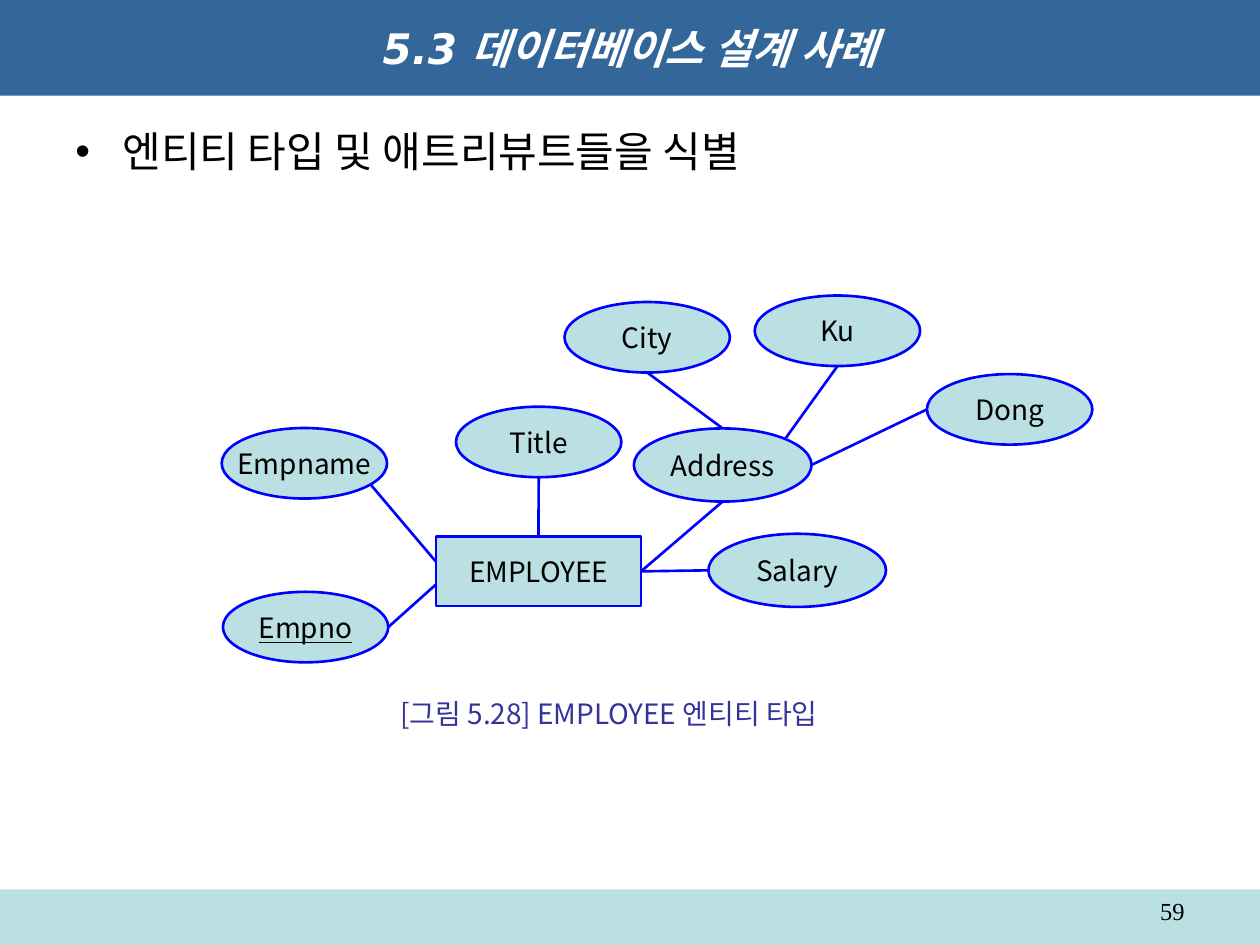
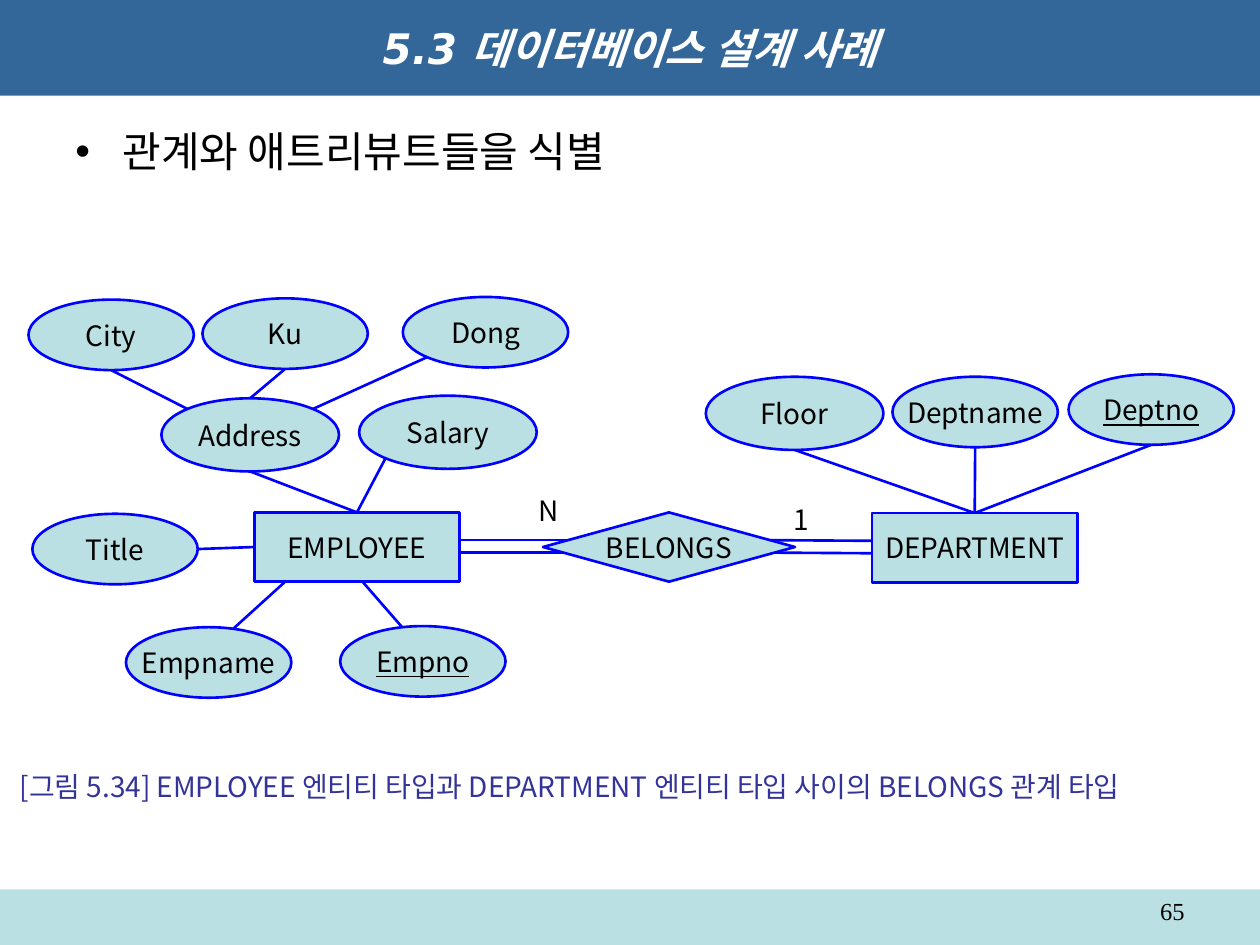
import dataclasses

import lxml.etree
import pptx
import pptx.dml.color
import pptx.enum.shapes
import pptx.enum.text
import pptx.oxml.ns
import pptx.util

Pt = pptx.util.Pt
SHAPE = pptx.enum.shapes.MSO_SHAPE
ALIGN = pptx.enum.text.PP_ALIGN
ANCHOR = pptx.enum.text.MSO_ANCHOR
qn = pptx.oxml.ns.qn


@dataclasses.dataclass(frozen=True)
class Theme:
    width: float = 720
    height: float = 540
    title_fill: str = "336699"
    pale: str = "BBE0E3"
    outline: str = "0000FF"
    caption: str = "333399"
    black: str = "000000"
    white: str = "FFFFFF"
    heading_size: float = 24
    label_size: float = 16
    page_size: float = 14
    line_width: float = 1.5
    title_font: str = "DejaVu Sans"
    body_font: str = "Arial"
    label_font: str = "Noto Sans CJK JP"
    korean_font: str = "Noto Sans CJK KR"
    page_font: str = "Times New Roman"


@dataclasses.dataclass(frozen=True)
class Node:
    kind: object
    left: float
    top: float
    width: float
    height: float
    underline: bool = False

    def point(self, place):
        across, down = place
        return self.left + across * self.width, self.top + down * self.height


def entity(left, top):
    return Node(SHAPE.RECTANGLE, left, top, 117.2, 39.6)


def attribute(left, top, key=False):
    return Node(SHAPE.OVAL, left, top, 94.5, 40.3, key)


def wide_attribute(left, top):
    return Node(SHAPE.OVAL, left, top, 101.5, 41.8)


def relationship(left, top):
    return Node(SHAPE.DIAMOND, left, top, 144, 39.6)


TOP, BOTTOM, LEFT, RIGHT = (0.5, 0), (0.5, 1), (0, 0.5), (1, 0.5)
TOP_LEFT, TOP_RIGHT, BOTTOM_LEFT = (0.15, 0.15), (0.85, 0.15), (0.15, 0.85)


class Deck:
    def __init__(self, theme):
        self.theme = theme
        self.presentation = pptx.Presentation()
        self.presentation.slide_width = Pt(theme.width)
        self.presentation.slide_height = Pt(theme.height)
        self.slide = None

    def color(self, value):
        return pptx.dml.color.RGBColor.from_string(value)

    def new_slide(self, title, bullet, page):
        theme = self.theme
        self.slide = self.presentation.slides.add_slide(self.presentation.slide_layouts[6])
        self.shape(SHAPE.RECTANGLE, 0, 508.3, theme.width, 31.7, theme.pale)
        self.text_box(page, 516.2, 508.3, 167.8, 20.9, theme.page_size,
                      theme.page_font, align=ALIGN.RIGHT)
        band = self.shape(SHAPE.RECTANGLE, 0, 0, theme.width, 54.7, theme.title_fill)
        self.add_text(band, title, theme.heading_size, theme.title_font, theme.white,
                      align=ALIGN.CENTER, anchor=ANCHOR.MIDDLE, bold=True, italic=True)
        self.bullet(bullet)

    def shape(self, kind, left, top, width, height, fill, line=None):
        shape = self.slide.shapes.add_shape(kind, Pt(left), Pt(top), Pt(width), Pt(height))
        shape.shadow.inherit = False
        shape.fill.solid()
        shape.fill.fore_color.rgb = self.color(fill)
        if line:
            shape.line.color.rgb = self.color(line)
            shape.line.width = Pt(self.theme.line_width)
        else:
            shape.line.fill.background()
        return shape

    def add_text(self, shape, text, size, font, color, align=ALIGN.LEFT,
                 anchor=ANCHOR.TOP, wrap=True, bold=False, italic=False, underline=False):
        frame = shape.text_frame
        frame.word_wrap = wrap
        frame.vertical_anchor = anchor
        paragraph = frame.paragraphs[0]
        paragraph.alignment = align
        run = paragraph.add_run()
        run.text = text
        run.font.name = font
        run.font.size = Pt(size)
        run.font.color.rgb = self.color(color)
        run.font.bold = bold
        run.font.italic = italic
        run.font.underline = underline
        east_asian = lxml.etree.SubElement(run._r.get_or_add_rPr(), qn("a:ea"))
        east_asian.set("typeface", self.theme.korean_font)
        return paragraph

    def text_box(self, text, left, top, width, height, size, font, color=None, **style):
        box = self.slide.shapes.add_textbox(Pt(left), Pt(top), Pt(width), Pt(height))
        return self.add_text(box, text, size, font, color or self.theme.black, **style)

    def bullet(self, text):
        paragraph = self.text_box(text, 36, 68.4, 648, 428.4,
                                  self.theme.heading_size, self.theme.body_font)
        properties = paragraph._p.get_or_add_pPr()
        properties.set("marL", str(Pt(27)))
        properties.set("indent", str(Pt(-27)))
        lxml.etree.SubElement(properties, qn("a:buFont")).set("typeface", self.theme.body_font)
        lxml.etree.SubElement(properties, qn("a:buChar")).set("char", "•")

    def caption(self, text, left, top, width):
        self.text_box(text, left, top, width, 26.6, self.theme.label_size,
                      self.theme.korean_font, self.theme.caption,
                      anchor=ANCHOR.MIDDLE, wrap=False)

    def cardinality(self, text, left, top, width):
        self.text_box(text, left, top, width, 26.6, self.theme.label_size,
                      self.theme.label_font, align=ALIGN.CENTER, wrap=False)

    def line(self, start, end):
        connector = self.slide.shapes.add_connector(
            pptx.enum.shapes.MSO_CONNECTOR.STRAIGHT, *map(Pt, start + end))
        connector.line.color.rgb = self.color(self.theme.outline)
        connector.line.width = Pt(self.theme.line_width)
        lxml.etree.SubElement(connector._element.spPr, qn("a:effectLst"))

    def node(self, name, node):
        theme = self.theme
        shape = self.shape(node.kind, node.left, node.top, node.width, node.height,
                           theme.pale, theme.outline)
        self.add_text(shape, name, theme.label_size, theme.label_font, theme.black,
                      align=ALIGN.CENTER, anchor=ANCHOR.MIDDLE, wrap=False,
                      underline=node.underline)

    def diagram(self, nodes, links):
        for first, first_place, second, second_place in links:
            self.line(nodes[first].point(first_place), nodes[second].point(second_place))
        for name, node in nodes.items():
            self.node(name, node)


def employee_slide(deck, title):
    deck.new_slide(title, "엔티티 타입 및 애트리뷰트들을 식별", "59")
    nodes = {
        "EMPLOYEE": entity(249.1, 306.7),
        "Title": attribute(260.6, 232.4),
        "Address": wide_attribute(362.2, 244.8),
        "Salary": wide_attribute(404.8, 305),
        "Empname": attribute(126.7, 244.6),
        "Empno": attribute(127.4, 338.2, key=True),
        "City": attribute(322.6, 172.6),
        "Ku": attribute(431.3, 168.9),
        "Dong": attribute(529.7, 213.8),
    }
    links = [
        ("Title", BOTTOM, "EMPLOYEE", TOP),
        ("EMPLOYEE", RIGHT, "Address", BOTTOM),
        ("EMPLOYEE", RIGHT, "Salary", LEFT),
        ("Empname", (0.9, 0.8), "EMPLOYEE", (0, 0.36)),
        ("Empno", RIGHT, "EMPLOYEE", (0, 0.69)),
        ("City", BOTTOM, "Address", TOP),
        ("Address", RIGHT, "Dong", LEFT),
        ("Address", TOP_RIGHT, "Ku", BOTTOM),
    ]
    deck.diagram(nodes, links)
    deck.caption("[그림 5.28] EMPLOYEE 엔티티 타입", 221.8, 394.6, 280.1)


def belongs_slide(deck, title):
    deck.new_slide(title, "관계와 애트리뷰트들을 식별", "65")
    nodes = {
        "EMPLOYEE": entity(145.4, 292.8),
        "Title": attribute(18.5, 293.6),
        "Address": wide_attribute(92.2, 227.6),
        "Salary": wide_attribute(205.2, 226.1),
        "Empname": attribute(72, 358.4),
        "Empno": attribute(194.4, 357.8, key=True),
        "City": attribute(16.3, 171.2),
        "Ku": attribute(115.7, 170.5),
        "Dong": attribute(230.2, 169.7),
        "Deptname": attribute(510, 215.3),
        "Floor": wide_attribute(403.3, 215.3),
        "Deptno": attribute(610.6, 213.9, key=True),
        "BELONGS": relationship(310.3, 292.8),
        "DEPARTMENT": entity(498.4, 293.2),
    }
    links = [
        ("Title", RIGHT, "EMPLOYEE", LEFT),
        ("EMPLOYEE", TOP, "Address", BOTTOM),
        ("EMPLOYEE", TOP, "Salary", BOTTOM_LEFT),
        ("EMPLOYEE", (0.15, 1), "Empname", (0.65, 0.02)),
        ("EMPLOYEE", (0.48, 0.84), "Empno", (0.48, 0.3)),
        ("City", BOTTOM, "Address", TOP_LEFT),
        ("Ku", BOTTOM, "Address", TOP),
        ("Dong", BOTTOM_LEFT, "Address", TOP_RIGHT),
    ]
    links += [(name, BOTTOM, "DEPARTMENT", TOP) for name in ("Floor", "Deptname", "Deptno")]
    for height in (0.4, 0.58):
        links += [
            ("EMPLOYEE", (1, height), "BELONGS", (0.13, height)),
            ("BELONGS", (0.87, height), "DEPARTMENT", (0, height)),
        ]
    deck.diagram(nodes, links)
    deck.cardinality("N", 300.2, 278.6, 26.6)
    deck.cardinality("1", 446.4, 283.7, 23)
    deck.caption("[그림 5.34] EMPLOYEE 엔티티 타입과 DEPARTMENT 엔티티 타입 사이의 "
                 "BELONGS 관계 타입", 4.3, 436.3, 712.8)


def main():
    deck = Deck(Theme())
    title = "5.3 데이터베이스 설계 사례"
    employee_slide(deck, title)
    belongs_slide(deck, title)
    deck.presentation.save("out.pptx")


if __name__ == "__main__":
    main()
